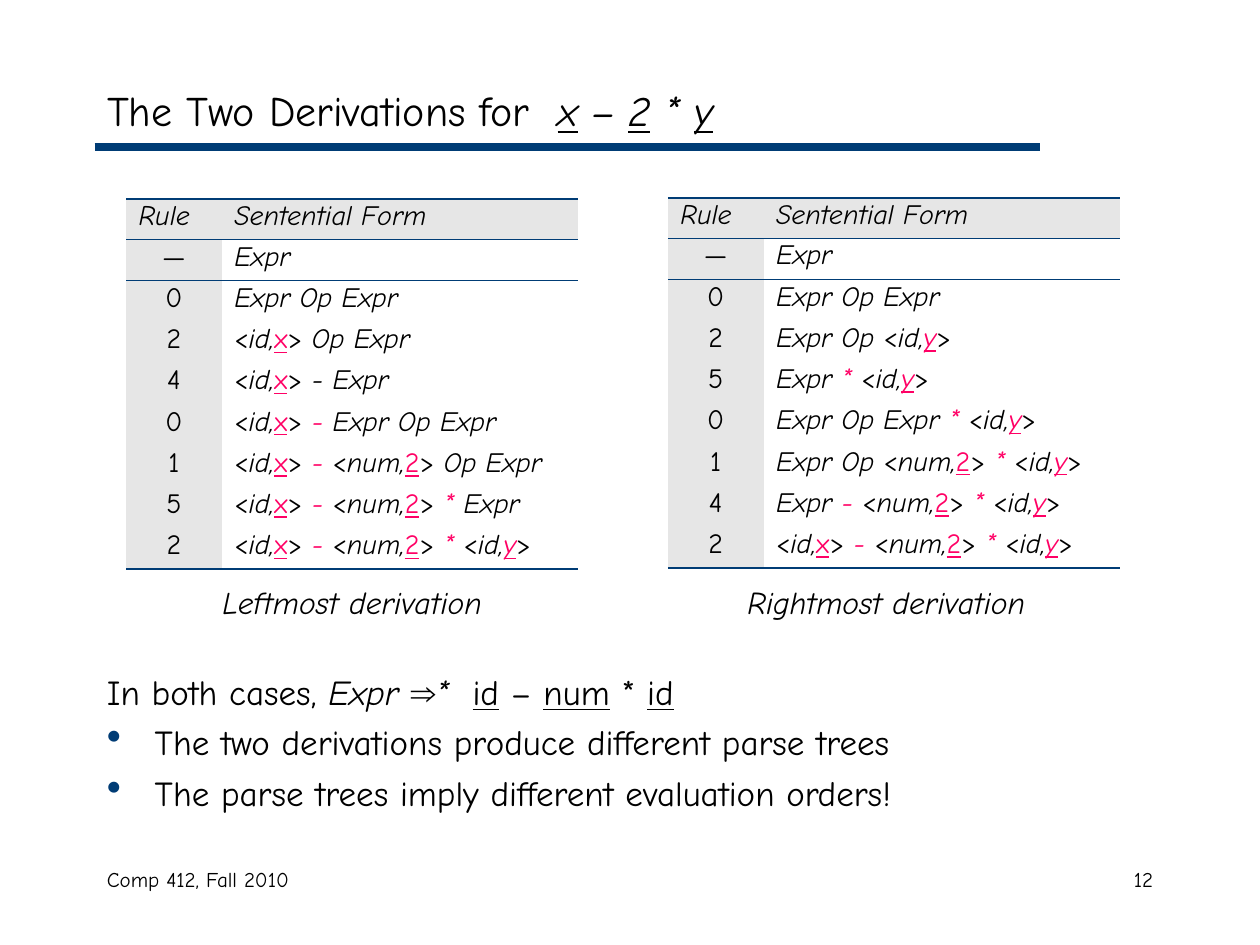
from itertools import groupby

from lxml import etree
from pptx import Presentation
from pptx.dml.color import RGBColor
from pptx.enum import shapes, text
from pptx.oxml import ns
from pptx.util import Inches, Pt

FONT, NAVY, PINK, GREY = "Comic Neue", "003C75", "FF0065", "E6E6E6"
LEFT = [
    ("—", "Expr"), ("0", "Expr Op Expr"), ("2", "<id,x> Op Expr"),
    ("4", "<id,x> - Expr"), ("0", "<id,x> ^- Expr Op Expr"),
    ("1", "<id,x> ^- <num,2> Op Expr"), ("5", "<id,x> ^- <num,2> ^* Expr"),
    ("2", "<id,x> ^- <num,2> ^* <id,y>"),
]
RIGHT = [
    ("—", "Expr"), ("0", "Expr Op Expr"), ("2", "Expr Op <id,y>"),
    ("5", "Expr ^* <id,y>"), ("0", "Expr Op Expr ^* <id,y>"),
    ("1", "Expr Op <num,2> ^* <id,y>"), ("4", "Expr ^- <num,2> ^* <id,y>"),
    ("2", "<id,x> ^- <num,2> ^* <id,y>"),
]


def color(code):
    """Turn a hex string into a colour."""
    return RGBColor.from_string(code)


def child(node, tag, **attrs):
    """Append a DrawingML element to a node."""
    return etree.SubElement(node, ns.qn(tag), attrs)


def write(para, runs, size):
    """Add runs whose style letters are i italic, u underline, p pink, a Arial."""
    for words, style in runs:
        run = para.add_run()
        run.text = words
        font = run.font
        font.size = Pt(size)
        font.name = "Arial" if "a" in style else FONT
        font.italic = "i" in style
        font.underline = "u" in style
        font.color.rgb = color(PINK if "p" in style else "000000")


def tokens(form):
    """Split a sentential form into styled runs; ^ marks a pink operator."""
    parts = []
    for word in form.split():
        if parts:
            last, style = parts[-1]
            parts[-1] = (last + " ", style)
        if word[0] == "<":
            name, lex = word[1:-1].split(",")
            parts += [("<", ""), (name + ",", "i"),
                      (lex, "piu" if lex == "y" else "pu"), (">", "")]
        elif word[0] == "^":
            parts.append((word[1:], "pi"))
        else:
            parts.append((word, "i"))
    return [("".join(part[0] for part in group), style)
            for style, group in groupby(parts, key=lambda part: part[1])]


def label(slide, box, runs, size, align=text.PP_ALIGN.LEFT):
    """Add a text box with one paragraph and return its frame."""
    frame = slide.shapes.add_textbox(*map(Inches, box)).text_frame
    frame.word_wrap = True
    frame.paragraphs[0].alignment = align
    write(frame.paragraphs[0], runs, size)
    return frame


def bullet(frame, words):
    """Add a bulleted paragraph to a frame."""
    para = frame.add_paragraph()
    para.space_before = Pt(5)
    props = para._p.get_or_add_pPr()
    props.set("marL", str(Inches(0.38)))
    props.set("indent", str(-Inches(0.38)))
    child(child(props, "a:buClr"), "a:srgbClr", val=NAVY)
    child(props, "a:buSzPct", val="120000")
    child(props, "a:buChar", char="•")
    write(para, [(words, "")], 20)


def border(cell, side, width):
    """Draw one navy edge of a cell."""
    line = child(cell._tc.get_or_add_tcPr(), side, w=str(Pt(width)))
    child(child(line, "a:solidFill"), "a:srgbClr", val=NAVY)


def derive(slide, left, top, steps):
    """Add a derivation table with one row for each step."""
    count = len(steps) + 1
    frame = slide.shapes.add_table(
        count, 2, Inches(left), Inches(top), Inches(3.59), Inches(2.94))
    table = frame.table
    table.first_row = table.horz_banding = False
    style = table._tbl.tblPr.find(ns.qn("a:tableStyleId"))
    style.text = "{2D5ABB26-0587-4C30-8999-92F81FD0307C}"
    for col, width in zip(table.columns, (0.76, 2.83)):
        col.width = Inches(width)
    rows = [([("Rule", "i")], [("Sentential Form", "i")])]
    rows += [([(rule, "")], tokens(form)) for rule, form in steps]
    for r, row in enumerate(rows):
        table.rows[r].height = Inches(2.62 / len(steps) if r else 0.32)
        for c, runs in enumerate(row):
            cell = table.cell(r, c)
            para = cell.text_frame.paragraphs[0]
            para.line_spacing = 0.8
            if r and not c:
                para.alignment = text.PP_ALIGN.CENTER
            write(para, runs, 16)
            if r < 2:
                border(cell, "a:lnT", 0.45 if r else 1.08)
            if r in (0, count - 1):
                border(cell, "a:lnB", 1.08 if r else 0.45)
            cell.fill.solid()
            cell.fill.fore_color.rgb = color("FFFFFF" if r and c else GREY)


def head(slide):
    """Fill the title and draw the rule under it."""
    title = slide.shapes.title
    title.left, title.top, title.width, title.height = map(
        Inches, (0.75, 0.58, 8.5, 0.58))
    frame = title.text_frame
    frame.auto_size = text.MSO_AUTO_SIZE.NONE
    frame.vertical_anchor = text.MSO_ANCHOR.MIDDLE
    frame.paragraphs[0].alignment = text.PP_ALIGN.LEFT
    write(frame.paragraphs[0], [
        ("The Two Derivations for  ", ""), ("x", "iu"), (" – ", "i"),
        ("2", "iu"), (" * ", "i"), ("y", "iu")], 24)
    rule = slide.shapes.add_connector(
        shapes.MSO_CONNECTOR.STRAIGHT,
        Inches(0.75), Inches(1.17), Inches(8.25), Inches(1.17))
    rule.line.width = Pt(4.5)
    rule.line.color.rgb = color(NAVY)
    child(rule._element.spPr, "a:effectLst")


def main():
    """Build the slide and save it."""
    deck = Presentation()
    deck.slide_width, deck.slide_height = Inches(10), Inches(7.5)
    slide = deck.slides.add_slide(deck.slide_layouts[5])
    head(slide)
    derive(slide, 5.3, 1.57, RIGHT)
    derive(slide, 1, 1.58, LEFT)
    for left, side in ((1.42, "Leftmost"), (5.66, "Rightmost")):
        label(slide, (left, 4.58, 2.75, 0.4), [(side + " derivation", "i")],
              18, text.PP_ALIGN.CENTER)
    body = label(slide, (0.75, 5.27, 8.5, 1.4), [
        ("In both cases, ", ""), ("Expr ", "i"), ("⇒", "ia"), ("*  ", "i"),
        ("id", "u"), (" – ", ""), ("num", "u"), (" * ", ""), ("id", "u")], 20)
    bullet(body, "The two derivations produce different parse trees")
    bullet(body, "The parse trees imply different evaluation orders!")
    label(slide, (0.75, 6.83, 3.17, 0.5), [("Comp 412, Fall 2010", "")], 12)
    label(slide, (7.17, 6.83, 2.08, 0.5), [("12", "")], 12,
          text.PP_ALIGN.RIGHT)
    deck.save("out.pptx")


if __name__ == "__main__":
    main()
